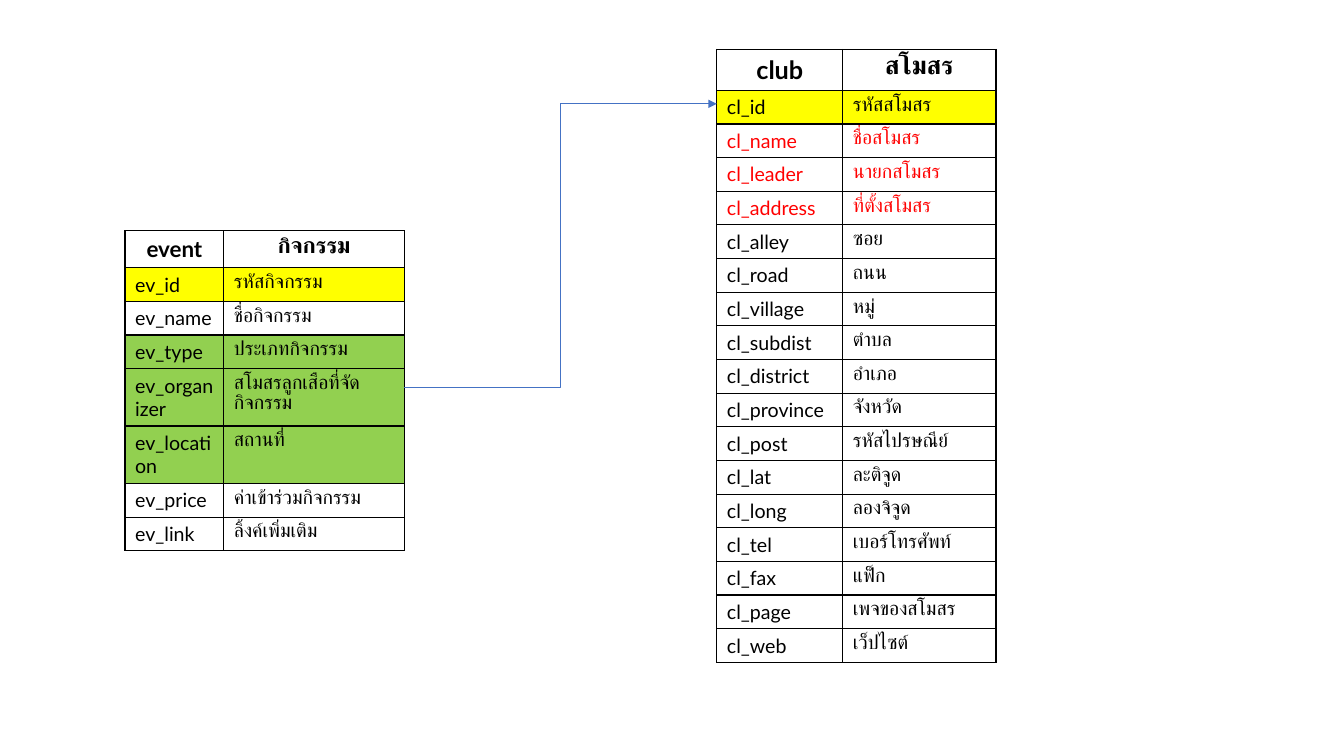
"""Build a slide linking the event table to the club table."""
from lxml import etree
from pptx import Presentation
from pptx.dml.color import RGBColor
from pptx.enum.shapes import MSO_CONNECTOR
from pptx.enum.text import PP_ALIGN
from pptx.oxml.ns import qn
from pptx.util import Inches, Pt

ELBOW = MSO_CONNECTOR.ELBOW
CENTER, LEFT = PP_ALIGN.CENTER, PP_ALIGN.LEFT
BLACK = RGBColor(0x00, 0x00, 0x00)
RED = RGBColor(0xFF, 0x00, 0x00)
YELLOW = RGBColor(0xFF, 0xFF, 0x00)
GREEN = RGBColor(0x92, 0xD0, 0x50)
BLUE = RGBColor(0x44, 0x72, 0xC4)
COLS, ROWS = 96, 54
ROW, TALL_ROW = 2.4, 4.1

EVENT = [
    ("event", "กิจกรรม"),
    ("ev_id", "รหัสกิจกรรม"),
    ("ev_name", "ชื่อกิจกรรม"),
    ("ev_type", "ประเภทกิจกรรม"),
    ("ev_organizer", "สโมสรลูกเสือที่จัดกิจกรรม"),
    ("ev_location", "สถานที่"),
    ("ev_price", "ค่าเข้าร่วมกิจกรรม"),
    ("ev_link", "ลิ้งค์เพิ่มเติม"),
]
CLUB = [
    ("club", "สโมสร"),
    ("cl_id", "รหัสสโมสร"),
    ("cl_name", "ชื่อสโมสร"),
    ("cl_leader", "นายกสโมสร"),
    ("cl_address", "ที่ตั้งสโมสร"),
    ("cl_alley", "ซอย"),
    ("cl_road", "ถนน"),
    ("cl_village", "หมู่"),
    ("cl_subdist", "ตำบล"),
    ("cl_district", "อำเภอ"),
    ("cl_province", "จังหวัด"),
    ("cl_post", "รหัสไปรษณีย์"),
    ("cl_lat", "ละติจูด"),
    ("cl_long", "ลองจิจูด"),
    ("cl_tel", "เบอร์โทรศัพท์"),
    ("cl_fax", "แฟ็ก"),
    ("cl_page", "เพจของสโมสร"),
    ("cl_web", "เว็ปไซต์"),
]
FILLS = {
    "ev_id": YELLOW, "cl_id": YELLOW,
    "ev_type": GREEN, "ev_organizer": GREEN, "ev_location": GREEN,
}
REQUIRED = {"cl_name", "cl_leader", "cl_address"}
TALL = {"ev_organizer", "ev_location"}


class Diagram:
    """Draw tables and links on one slide, measured in grid columns and rows."""

    font, body_size = "Lato", 14

    def __init__(self, prs):
        self.s = prs.slides.add_slide(prs.slide_layouts[6])
        self.col = prs.slide_width / COLS
        self.row = prs.slide_height / ROWS

    def x(self, n):
        return round(n * self.col)

    def y(self, n):
        return round(n * self.row)

    def border(self, cell):
        tcPr = cell._tc.get_or_add_tcPr()
        for side in ("a:lnL", "a:lnR", "a:lnT", "a:lnB"):
            ln = etree.SubElement(tcPr, qn(side), w=str(Pt(1)))
            fill = etree.SubElement(ln, qn("a:solidFill"))
            etree.SubElement(fill, qn("a:srgbClr"), val=str(BLACK))

    def cell(self, cell, text, size, color, fill, header):
        self.border(cell)
        if fill is None:
            cell.fill.background()
        else:
            cell.fill.solid()
            cell.fill.fore_color.rgb = fill
        cell.text = text
        p = cell.text_frame.paragraphs[0]
        p.alignment = CENTER if header else LEFT
        p.font.name, p.font.size, p.font.bold = self.font, Pt(size), header
        p.font.color.rgb = color

    def table(self, left, top, widths, header_height, header_size, fields):
        heights = [header_height] + [
            TALL_ROW if name in TALL else ROW for name, _ in fields[1:]]
        table = self.s.shapes.add_table(
            len(fields), len(widths), self.x(left), self.y(top),
            self.x(sum(widths)), self.y(sum(heights))).table
        table.first_row = table.horz_banding = False
        for column, width in zip(table.columns, widths):
            column.width = self.x(width)
        for i, field in enumerate(fields):
            table.rows[i].height = self.y(heights[i])
            name, header = field[0], i == 0
            size = header_size if header else self.body_size
            color = RED if name in REQUIRED else BLACK
            for j, text in enumerate(field):
                self.cell(table.cell(i, j), text, size, color,
                          FILLS.get(name), header)

    def link(self, x1, y1, x2, y2):
        sp = self.s.shapes.add_connector(
            ELBOW, self.x(x1), self.y(y1), self.x(x2), self.y(y2))
        sp.line.color.rgb = BLUE
        sp.line.width = Pt(0.5)
        etree.SubElement(sp.line._get_or_add_ln(), qn("a:tailEnd"),
                         type="triangle")
        etree.SubElement(sp._element.spPr, qn("a:effectLst"))


prs = Presentation()
prs.slide_width, prs.slide_height = Inches(13.33), Inches(7.5)
d = Diagram(prs)

event_left, event_widths = 8.93, (7.06, 12.89)
club_left, club_widths = 51.2, (9, 10.95)
d.table(event_left, 16.49, event_widths, 2.6, 16, EVENT)
d.table(club_left, 3.53, club_widths, 2.92, 18, CLUB)
d.link(event_left + sum(event_widths), 27.65, club_left, 7.42)

prs.save("out.pptx")
